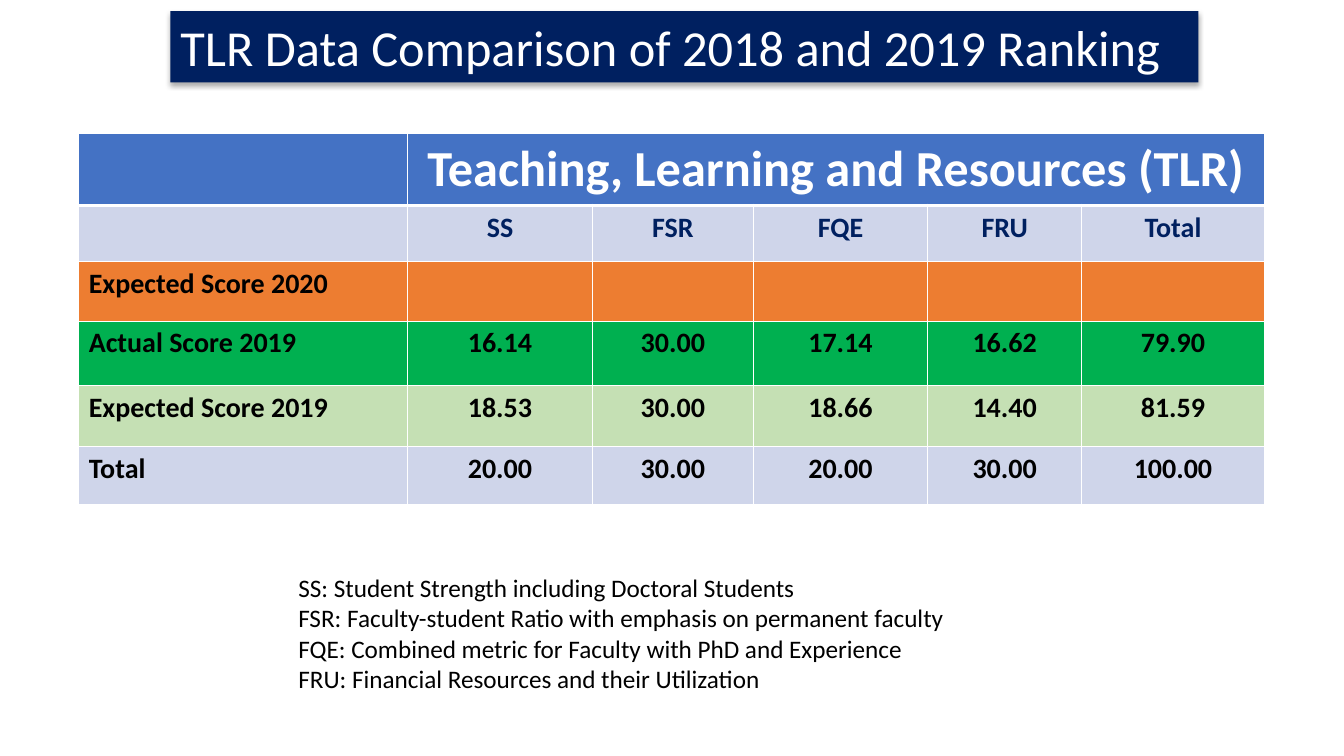
from lxml.etree import SubElement
from pptx import Presentation
from pptx.dml.color import RGBColor
from pptx.enum.text import MSO_ANCHOR, MSO_AUTO_SIZE, PP_ALIGN as Align
from pptx.oxml.ns import qn
from pptx.util import Pt

FONT = "Calibri"
WHITE = RGBColor(0xFF, 0xFF, 0xFF)
BLACK = RGBColor(0, 0, 0)
NAVY = RGBColor(0x00, 0x20, 0x60)
BLUE = RGBColor(0x44, 0x72, 0xC4)
PALE_BLUE = RGBColor(0xCF, 0xD5, 0xEA)
ORANGE = RGBColor(0xED, 0x7D, 0x31)
GREEN = RGBColor(0x00, 0xB0, 0x50)
PALE_GREEN = RGBColor(0xC5, 0xE0, 0xB4)

COLUMN_WIDTHS = [235, 132, 115, 124.5, 110, 130.5]
# Height, fill, text colour, text size, cell texts
SCORE_ROWS = [
    (51, BLUE, WHITE, 36, ["", "Teaching, Learning and Resources (TLR)"]),
    (40.3, PALE_BLUE, NAVY, 20, ["", "SS", "FSR", "FQE", "FRU", "Total"]),
    (42.5, ORANGE, BLACK, 20, ["Expected Score 2020"]),
    (46.1, GREEN, BLACK, 20,
     ["Actual Score 2019", "16.14", "30.00", "17.14", "16.62", "79.90"]),
    (43.2, PALE_GREEN, BLACK, 20,
     ["Expected Score 2019", "18.53", "30.00", "18.66", "14.40", "81.59"]),
    (41.8, PALE_BLUE, BLACK, 20,
     ["Total", "20.00", "30.00", "20.00", "30.00", "100.00"]),
]
ABBREVIATIONS = [
    "SS: Student Strength including Doctoral Students",
    "FSR: Faculty-student Ratio with emphasis on permanent faculty",
    "FQE: Combined metric for Faculty with PhD and Experience",
    "FRU: Financial Resources and their Utilization",
]


def format_text(frame, size, color, bold=False, align=Align.LEFT):
    for paragraph in frame.paragraphs:
        paragraph.alignment = align
        for run in paragraph.runs:
            font = run.font
            font.name, font.size, font.bold = FONT, Pt(size), bold
            font.color.rgb = color


def add_drop_shadow(shape):
    effects = SubElement(shape._element.spPr, qn("a:effectLst"))
    shadow = SubElement(effects, qn("a:outerShdw"), blurRad=str(Pt(3.5)),
                        dist=str(Pt(2.2)), dir="5400000", rotWithShape="0")
    black = SubElement(shadow, qn("a:srgbClr"), val=str(BLACK))
    SubElement(black, qn("a:alpha"), val="32000")


def add_borders(cell, top, bottom):
    """Draw white cell borders; must run before the cell gets its fill."""
    properties = cell._tc.get_or_add_tcPr()
    for side, width in (("L", 1), ("R", 1), ("T", top), ("B", bottom)):
        line = SubElement(properties, qn(f"a:ln{side}"), w=str(Pt(width)))
        fill = SubElement(line, qn("a:solidFill"))
        SubElement(fill, qn("a:srgbClr"), val=str(WHITE))


def place_title(slide, left, top, width, height):
    title = slide.shapes.title
    title.left, title.top = Pt(left), Pt(top)
    title.width, title.height = Pt(width), Pt(height)
    title.fill.solid()
    title.fill.fore_color.rgb = NAVY
    add_drop_shadow(title)
    frame = title.text_frame
    frame.text = "TLR Data Comparison of 2018 and 2019 Ranking"
    frame.word_wrap = True
    frame.auto_size = MSO_AUTO_SIZE.NONE
    frame.vertical_anchor = MSO_ANCHOR.TOP
    format_text(frame, 36, WHITE)


def add_score_table(slide, left, top):
    height = sum(row[0] for row in SCORE_ROWS)
    table = slide.shapes.add_table(
        len(SCORE_ROWS), len(COLUMN_WIDTHS), Pt(left), Pt(top),
        Pt(sum(COLUMN_WIDTHS)), Pt(height)).table
    table.horz_banding = False
    for column, width in zip(table.columns, COLUMN_WIDTHS):
        column.width = Pt(width)
    for r, (row_height, fill, color, size, texts) in enumerate(SCORE_ROWS):
        table.rows[r].height = Pt(row_height)
        for c in range(len(COLUMN_WIDTHS)):
            cell = table.cell(r, c)
            add_borders(cell, 3 if r == 1 else 1, 3 if r == 0 else 1)
            cell.fill.solid()
            cell.fill.fore_color.rgb = fill
            if c < len(texts) and texts[c]:
                cell.text_frame.text = texts[c]
                format_text(cell.text_frame, size, color, True,
                            Align.CENTER if c else Align.LEFT)
    table.cell(0, 1).merge(table.cell(0, len(COLUMN_WIDTHS) - 1))


def add_abbreviations(slide, left, top, width, height):
    box = slide.shapes.add_textbox(Pt(left), Pt(top), Pt(width), Pt(height))
    frame = box.text_frame
    frame.word_wrap = True
    frame.text = "\n".join(ABBREVIATIONS)
    format_text(frame, 18, BLACK)


def main():
    deck = Presentation()
    deck.slide_width, deck.slide_height = Pt(960), Pt(540)
    slide = deck.slides.add_slide(deck.slide_layouts[5])
    add_score_table(slide, 56.2, 95.4)
    place_title(slide, 121.7, 7.9, 734.4, 51)
    add_abbreviations(slide, 206, 405.4, 671, 94.5)
    deck.save("out.pptx")


if __name__ == "__main__":
    main()
